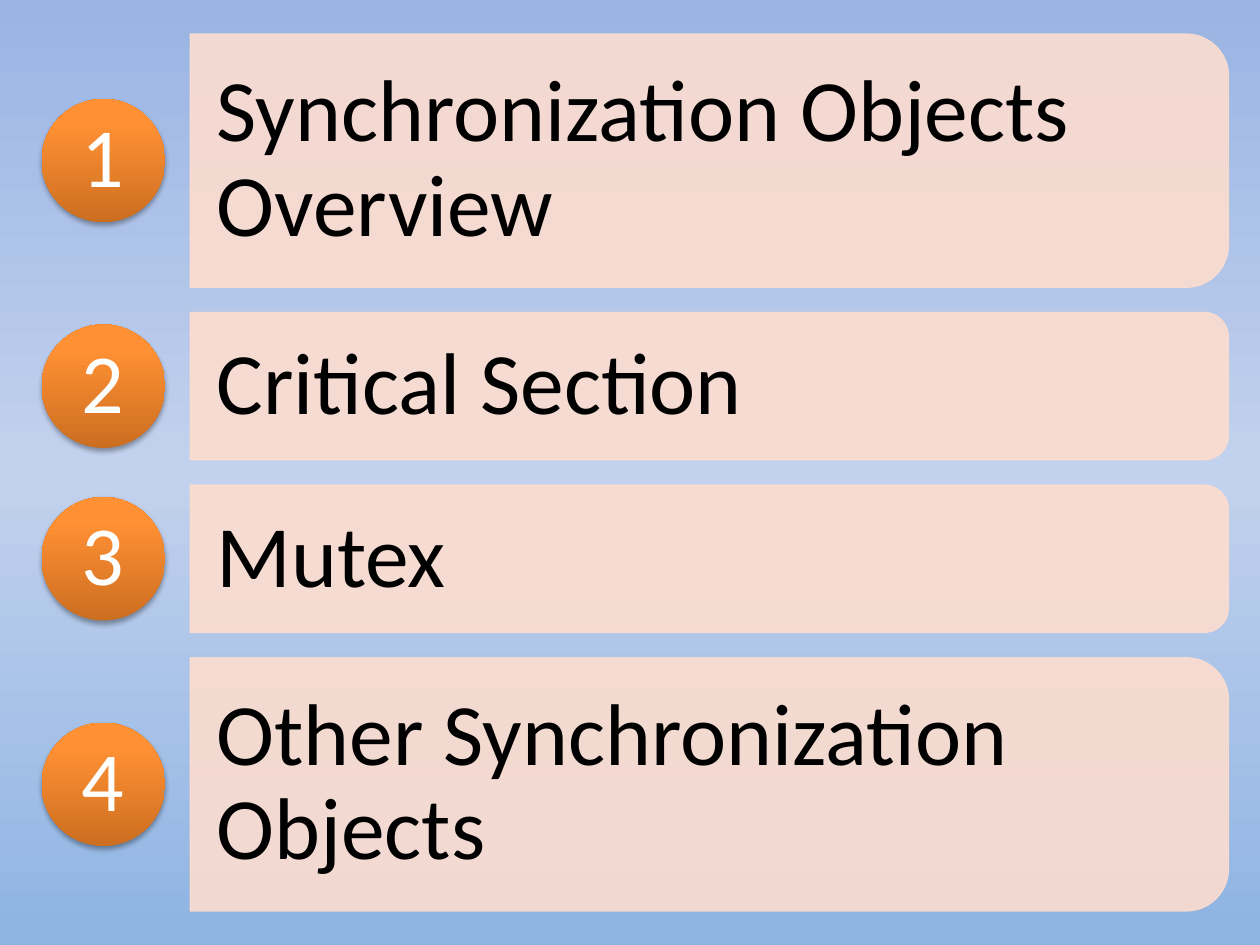
from dataclasses import dataclass

from lxml.etree import SubElement
from pptx import Presentation
from pptx.dml.color import RGBColor
from pptx.enum.shapes import MSO_SHAPE as Preset
from pptx.enum.text import MSO_ANCHOR as Anchor, PP_ALIGN as Align
from pptx.oxml.ns import qn
from pptx.util import Inches, Pt


@dataclass(frozen=True)
class Theme:
    font: str = "Calibri"
    label_size: int = 50
    number_size: int = 48
    label_color: str = "000000"
    number_color: str = "FFFFFF"
    bar: str = "FCDDCF"
    bar_opacity: int = 90
    shadow: str = "000000"
    page_stops: tuple = ((0, "9AB5E4"), (50, "C2D1ED"), (100, "8EB4E3"))
    disc_stops: tuple = ((0, "CC6E20"), (80, "FF9034"), (100, "FF9136"))


@dataclass(frozen=True)
class Topic:
    text: str
    lines: int = 1


@dataclass(frozen=True)
class Box:
    left: float
    top: float
    width: float
    height: float

    def lengths(self) -> list:
        return [Inches(v) for v in (self.left, self.top, self.width, self.height)]


THEME = Theme()
PAGE_WIDTH, PAGE_HEIGHT = 10, 7.5
TOPICS = (
    Topic("Synchronization Objects Overview", 2),
    Topic("Critical Section"),
    Topic("Mutex"),
    Topic("Other Synchronization Objects", 2),
)

# Grid: a disc column and a bar column; row height follows the line count
ROW_HEIGHT = {1: 1.17, 2: 2.01}
ROW_GAP = 0.2
DISC_LEFT, DISC_SIZE, NUMBER_SIZE = 0.33, 0.98, 0.7
BAR_LEFT, BAR_WIDTH = 1.51, 8.24
CORNER_SHARE = 0.049  # part of a bar's height kept clear of its round corners


def add_color(parent, color: str, opacity: int = 100) -> None:
    node = SubElement(parent, qn("a:srgbClr"), val=color)
    if opacity < 100:
        SubElement(node, qn("a:alpha"), val=str(opacity * 1000))


def set_gradient(fill, holder, stops: tuple, angle: int) -> None:
    fill.gradient()
    gradient = holder.find(".//" + qn("a:gradFill"))
    for child in list(gradient):
        gradient.remove(child)
    stop_list = SubElement(gradient, qn("a:gsLst"))
    for position, color in stops:
        add_color(SubElement(stop_list, qn("a:gs"), pos=str(position * 1000)), color)
    SubElement(gradient, qn("a:lin"), ang=str(angle * 60000), scaled="0")


def add_text(page, box: Box, text: str, size: int, color: str,
             align: Align, inset_x: float = 0, inset_y: float = 0) -> None:
    frame = page.shapes.add_textbox(*box.lengths()).text_frame
    settings = {
        "word_wrap": True, "vertical_anchor": Anchor.MIDDLE,
        "margin_left": Inches(inset_x), "margin_right": Inches(inset_x),
        "margin_top": Inches(inset_y), "margin_bottom": Inches(inset_y),
    }
    for name, value in settings.items():
        setattr(frame, name, value)
    para = frame.paragraphs[0]
    para.alignment, para.line_spacing = align, 0.9
    after = SubElement(para._p.get_or_add_pPr(), qn("a:spcAft"))
    SubElement(after, qn("a:spcPct"), val="35000")
    span = para.add_run()
    span.text = text
    for name, value in {"name": THEME.font, "size": Pt(size)}.items():
        setattr(span.font, name, value)
    span.font.color.rgb = RGBColor.from_string(color)


def add_bar(page, box: Box) -> None:
    # The preset rounds its top corners, so it is drawn upright and turned
    upright = Box(box.left + (box.width - box.height) / 2,
                  box.top + (box.height - box.width) / 2, box.height, box.width)
    bar = page.shapes.add_shape(Preset.ROUND_2_SAME_RECTANGLE, *upright.lengths())
    bar.rotation = 90
    bar.shadow.inherit = False
    bar.line.width = Pt(0.75)
    for fill in (bar.fill, bar.line.fill):
        fill.solid()
        fill.fore_color.rgb = RGBColor.from_string(THEME.bar)
    for color in bar._element.spPr.iter(qn("a:srgbClr")):
        SubElement(color, qn("a:alpha"), val=str(THEME.bar_opacity * 1000))


def add_disc(page, box: Box) -> None:
    disc = page.shapes.add_shape(Preset.OVAL, *box.lengths())
    properties = disc._element.spPr
    set_gradient(disc.fill, properties, THEME.disc_stops, 270)
    disc.line.fill.background()
    disc.shadow.inherit = False
    shadow = SubElement(properties.find(qn("a:effectLst")), qn("a:outerShdw"),
                        blurRad=str(Pt(3.1)), dist=str(Pt(1.8)),
                        dir=str(90 * 60000), rotWithShape="0")
    add_color(shadow, THEME.shadow, 35)


def add_topic(page, number: int, topic: Topic, top: float) -> None:
    height = ROW_HEIGHT[topic.lines]
    middle = top + height / 2

    # Bar and its label
    add_bar(page, Box(BAR_LEFT, top, BAR_WIDTH, height))
    corner = height * CORNER_SHARE
    label_box = Box(BAR_LEFT, top + corner, BAR_WIDTH - corner, height - 2 * corner)
    add_text(page, label_box, topic.text, THEME.label_size, THEME.label_color,
             Align.LEFT, 0.21, 0.14)

    # Disc and its number
    add_disc(page, Box(DISC_LEFT, middle - DISC_SIZE / 2, DISC_SIZE, DISC_SIZE))
    number_left = DISC_LEFT + (DISC_SIZE - NUMBER_SIZE) / 2
    number_box = Box(number_left, middle - NUMBER_SIZE / 2, NUMBER_SIZE, NUMBER_SIZE)
    add_text(page, number_box, str(number), THEME.number_size, THEME.number_color,
             Align.CENTER)


def main() -> None:
    deck = Presentation()
    deck.slide_width, deck.slide_height = Inches(PAGE_WIDTH), Inches(PAGE_HEIGHT)
    page = deck.slides.add_slide(deck.slide_layouts[6])
    set_gradient(page.background.fill, page._element, THEME.page_stops, 90)

    # Rows are stacked with equal gaps and centred on the page
    heights = [ROW_HEIGHT[topic.lines] for topic in TOPICS]
    top = (PAGE_HEIGHT - sum(heights) - ROW_GAP * (len(TOPICS) - 1)) / 2
    for number, (topic, height) in enumerate(zip(TOPICS, heights), start=1):
        add_topic(page, number, topic, top)
        top += height + ROW_GAP

    deck.save("out.pptx")


if __name__ == "__main__":
    main()
